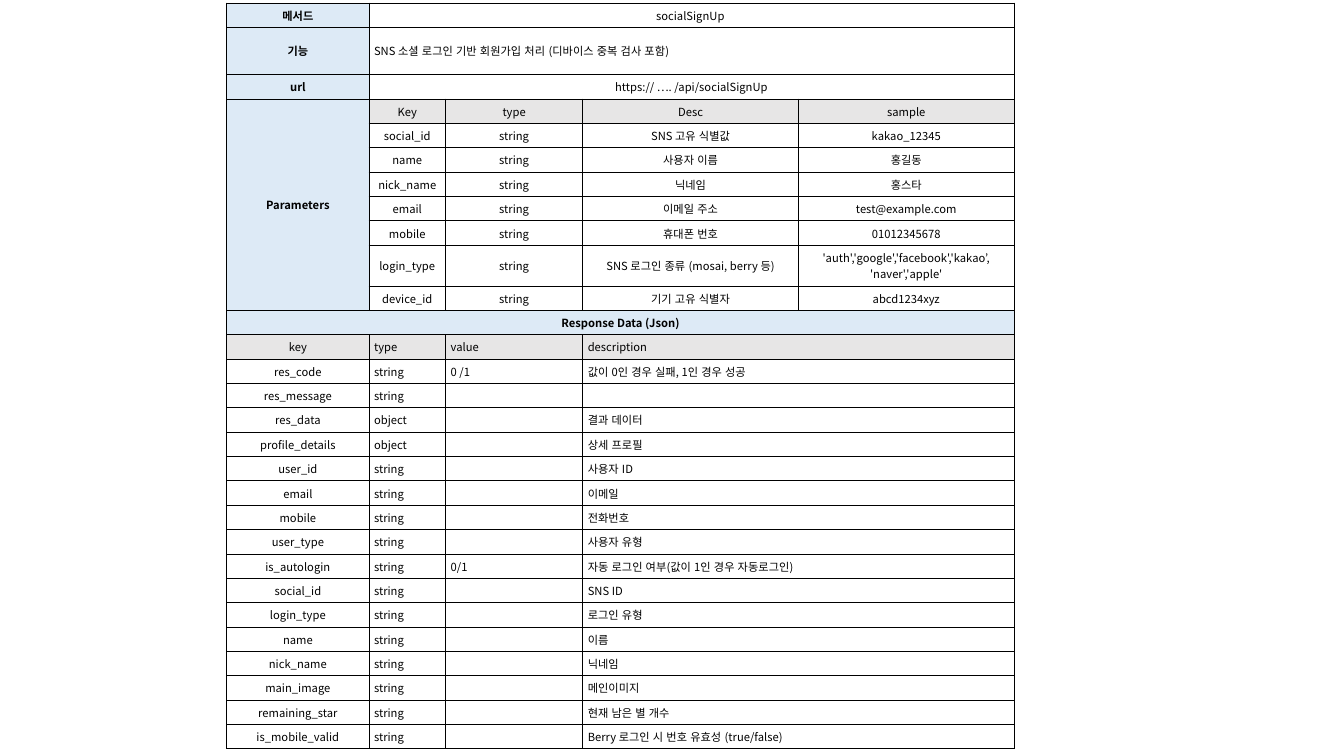
"""Build the API specification slide for the socialSignUp method."""
from lxml import etree
from pptx import Presentation
from pptx.dml.color import RGBColor
from pptx.enum.lang import MSO_LANGUAGE_ID
from pptx.enum.text import MSO_ANCHOR, PP_ALIGN
from pptx.oxml.ns import qn
from pptx.util import Inches, Pt

CENTER, LEFT = PP_ALIGN.CENTER, PP_ALIGN.LEFT
MIDDLE = MSO_ANCHOR.MIDDLE
KOREAN = MSO_LANGUAGE_ID.KOREAN
FONT, SIZE = "Noto Sans CJK KR", 8
BLACK, WHITE, BLUE, GRAY = "000000", "FFFFFF", "DDEAF6", "E7E6E6"

SUMMARY = [
    ("메서드", "socialSignUp ", CENTER),
    ("기능", "SNS 소셜 로그인 기반 회원가입 처리 (디바이스 중복 검사 포함)", LEFT),
    ("url", "https:// …. /api/socialSignUp", CENTER),
]
PARAMETERS = [
    ("Key", "type", "Desc", "sample"),
    ("social_id", "string", "SNS 고유 식별값", "kakao_12345"),
    ("name", "string", "사용자 이름", "홍길동"),
    ("nick_name", "string", "닉네임", "홍스타"),
    ("email", "string", "이메일 주소", "test@example.com"),
    ("mobile", "string", "휴대폰 번호", "01012345678"),
    ("login_type", "string", "SNS 로그인 종류 (mosai, berry 등)",
     "'auth','google','facebook','kakao’,\n'naver','apple'"),
    ("device_id", "string", "기기 고유 식별자", "abcd1234xyz"),
]
RESPONSE = [
    ("key", "type", "value", "description"),
    ("res_code", "string", "0 /1", "값이 0인 경우 실패, 1인 경우 성공"),
    ("res_message", "string", "", ""),
    ("res_data", "object", "", "결과 데이터"),
    ("profile_details", "object", "", "상세 프로필"),
    ("user_id", "string", "", "사용자 ID"),
    ("email", "string", "", "이메일"),
    ("mobile", "string", "", "전화번호"),
    ("user_type", "string", "", "사용자 유형"),
    ("is_autologin", "string", "0/1", "자동 로그인 여부(값이 1인 경우 자동로그인)"),
    ("social_id", "string", "", "SNS ID"),
    ("login_type", "string", "", "로그인 유형"),
    ("name", "string", "", "이름"),
    ("nick_name", "string", "", "닉네임"),
    ("main_image", "string", "", "메인이미지"),
    ("remaining_star", "string", "", "현재 남은 별 개수"),
    ("is_mobile_valid", "string", "", "Berry 로그인 시 번호 유효성 (true/false)"),
]
COLUMNS = [1.41, 0.76, 1.36, 2.14, 2.14]
HEIGHTS = [0.2, 0.47] + [0.2] * 3 + [0.14] + [0.21] * 5 + [0.2] * 16 + [0.23] * 2


def rgb(color):
    return RGBColor.from_string(color)


def add_borders(cell):
    tcPr = cell._tc.get_or_add_tcPr()
    for side in ("lnL", "lnR", "lnT", "lnB"):
        ln = etree.SubElement(tcPr, qn(f"a:{side}"), w=str(Pt(0.75)))
        fill = etree.SubElement(ln, qn("a:solidFill"))
        etree.SubElement(fill, qn("a:srgbClr"), val=BLACK)


def write(cell, text, fill=WHITE, bold=False, align=CENTER):
    cell.fill.solid()
    cell.fill.fore_color.rgb = rgb(fill)
    tf = cell.text_frame
    if text:
        tf.text = text
    for p in tf.paragraphs:
        p.alignment = align
        for r in p.runs:
            font = r.font
            font.name, font.size, font.bold = FONT, Pt(SIZE), bold
            font.language_id = KOREAN
            font.color.rgb = rgb(BLACK)
            etree.SubElement(r._r.get_or_add_rPr(), qn("a:ea"), typeface=FONT)


def main():
    prs = Presentation()
    prs.slide_width, prs.slide_height = Inches(13.33), Inches(7.5)
    s = prs.slides.add_slide(prs.slide_layouts[6])
    table = s.shapes.add_table(
        len(HEIGHTS), len(COLUMNS), Inches(2.25), Inches(0.03),
        Inches(sum(COLUMNS)), Inches(sum(HEIGHTS))).table
    table.first_row = table.horz_banding = False
    for column, width in zip(table.columns, COLUMNS):
        column.width = Inches(width)
    for row, height in zip(table.rows, HEIGHTS):
        row.height = Inches(height)
    for cell in table.iter_cells():
        cell.margin_left = cell.margin_right = Inches(0.05)
        cell.margin_top = cell.margin_bottom = Inches(0.04)
        cell.vertical_anchor = MIDDLE
        end = cell.text_frame.paragraphs[0]._p.get_or_add_endParaRPr()
        end.set("sz", str(SIZE * 100))
        add_borders(cell)

    for i, (label, value, align) in enumerate(SUMMARY):
        table.cell(i, 1).merge(table.cell(i, 4))
        write(table.cell(i, 0), label, fill=BLUE, bold=True)
        write(table.cell(i, 1), value, align=align)

    first = len(SUMMARY)
    banner = first + len(PARAMETERS)
    table.cell(first, 0).merge(table.cell(banner - 1, 0))
    write(table.cell(first, 0), "Parameters", fill=BLUE, bold=True)
    for i, values in enumerate(PARAMETERS):
        for j, text in enumerate(values, 1):
            write(table.cell(first + i, j), text, fill=WHITE if i else GRAY)

    table.cell(banner, 0).merge(table.cell(banner, 4))
    write(table.cell(banner, 0), "Response Data (Json)", fill=BLUE, bold=True)
    for i, values in enumerate(RESPONSE):
        row = banner + 1 + i
        table.cell(row, 3).merge(table.cell(row, 4))
        for j, text in enumerate(values):
            write(table.cell(row, j), text, fill=WHITE if i else GRAY,
                  align=LEFT if j else CENTER)
    prs.save("out.pptx")


if __name__ == "__main__":
    main()
